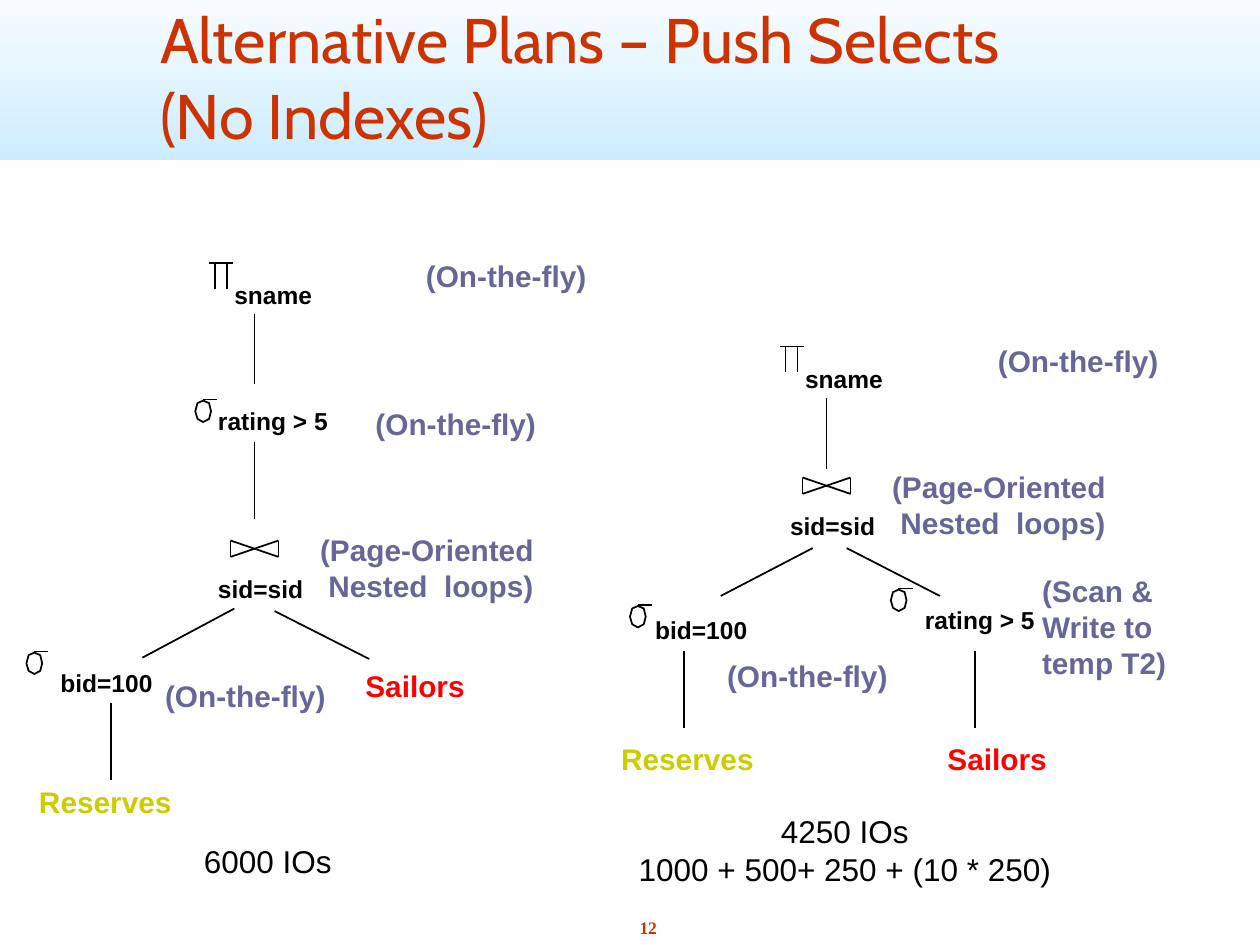
from lxml import etree
from pptx import Presentation
from pptx import util as u
from pptx.dml.color import RGBColor
from pptx.enum import shapes, text
from pptx.oxml.ns import qn

THEME = {
    "ink": "000000", "heading": "CC3300", "note": "666699",
    "reserves": "CCCC00", "sailors": "FF0000",
    "band_top": "FFFFFF", "band_bottom": "CCECFF",
    "title_size": 36, "cost_size": 18, "label_size": 17,
    "condition_size": 14, "number_size": 10,
    "body_font": "Arial", "title_font": "Cabin", "number_font": "Times New Roman",
}

deck = Presentation()
deck.slide_width, deck.slide_height = u.Inches(10), u.Inches(7.5)
page = deck.slides.add_slide(deck.slide_layouts[5])
cell = deck.slide_width / 100  # grid of 100 columns by 75 rows


def draw_line(group, x1, y1, x2, y2):
    line = group.shapes.add_connector(
        shapes.MSO_CONNECTOR.STRAIGHT, *[round(v * cell) for v in (x1, y1, x2, y2)])
    line.line.color.rgb = RGBColor.from_string(THEME["ink"])
    line.line.width = u.Pt(1)
    etree.SubElement(line.element.spPr, qn("a:effectLst"))


def write(box, place, lines, size, color, font="body_font", bold=True,
          align=text.PP_ALIGN.LEFT, anchor=text.MSO_ANCHOR.TOP, wrap=False):
    box.left, box.top, box.width, box.height = [round(v * cell) for v in place]
    frame = box.text_frame
    frame.word_wrap = wrap
    frame.auto_size = text.MSO_AUTO_SIZE.SHAPE_TO_FIT_TEXT
    frame.vertical_anchor = anchor
    frame.margin_left = frame.margin_right = round(0.5 * cell)
    frame.margin_top = frame.margin_bottom = round(0.5 * cell)
    for index, wording in enumerate(lines):
        para = frame.add_paragraph() if index else frame.paragraphs[0]
        para.alignment = align
        for part, piece in enumerate(wording.split("\n")):
            if part:
                para.add_line_break()
            span = para.add_run()
            span.text = piece
            span.font.size = u.Pt(THEME[size])
            span.font.name = THEME[font]
            span.font.bold = bold
            span.font.color.rgb = RGBColor.from_string(THEME[color])


# Header band
band = page.shapes.add_shape(shapes.MSO_SHAPE.RECTANGLE, 0, round(-1.7 * cell),
                             deck.slide_width, round(14.4 * cell))
band.shadow.inherit = False
band.line.fill.background()
band.fill.gradient()
band.fill.gradient_angle = 90
for stop, color in zip(band.fill.gradient_stops, ("band_bottom", "band_top")):
    stop.color.rgb = RGBColor.from_string(THEME[color])

# Title, in front of the band
title = page.shapes.title
page.shapes.element.append(title.element)
write(title, (12.2, -0.4, 84, 12.9), ["Alternative Plans – Push Selects \n(No Indexes)"],
      "title_size", "heading", "title_font", bold=False,
      anchor=text.MSO_ANCHOR.MIDDLE, wrap=True)

# Query plans: symbols by top left corner, edges by end points, labels by corner
FLY = ["(On-the-fly)"]
LOOPS = ["(Page-Oriented", " Nested  loops)"]
plans = [
    {   # selections after the join
        "project": (16.6, 20.9), "join": (18.3, 42.9),
        "select": [(15.5, 31.7), (2.1, 51.7)],
        "edges": [(20.2, 24.9, 20.2, 30.5), (20.2, 35.1, 20.2, 41.2),
                  (18.6, 48.3, 11.3, 52.2), (21.8, 48.5, 29.3, 52.3),
                  (8.8, 55.8, 8.8, 61.9)],
        "conditions": [("sname", 18.1, 21.7, 7.3), ("rating > 5", 16.8, 31.7, 9.8),
                       ("sid=sid", 16.8, 45.1, 7.9), ("bid=100", 4.3, 52.5, 8.9)],
        "tables": [("Reserves", 2.6, 61.7, 11.6), ("Sailors", 28.5, 52.5, 9)],
        "notes": [(FLY, 33.3, 20, 13.8), (FLY, 29.3, 31.7, 13.8),
                  (LOOPS, 24.9, 41.7, 18), (FLY, 12.6, 53.3, 13.8)],
        "cost": (["6000 IOs"], (15.6, 66.3, 11.3, 4.1)),
    },
    {   # selections pushed below the join
        "project": (61.9, 27.5), "join": (63.7, 37.9),
        "select": [(50, 48), (70.7, 46.7)],
        "edges": [(65.6, 31.6, 65.6, 37.2), (64.5, 43.5, 57.2, 47.3),
                  (67.2, 43.5, 74.6, 47.3), (54.3, 51.7, 54.3, 57.8),
                  (77.4, 51.7, 77.4, 57.8)],
        "conditions": [("sname", 63.4, 28.4, 7.3), ("sid=sid", 62.2, 40.1, 7.9),
                       ("bid=100", 51.5, 48.3, 8.9), ("rating > 5", 72.9, 47.5, 9.8)],
        "tables": [("Reserves", 48.8, 58.3, 11.6), ("Sailors", 74.7, 58.3, 9)],
        "notes": [(FLY, 78.7, 26.7, 13.8), (LOOPS, 70.3, 36.7, 18),
                  (["(Scan &", "Write to", "temp T2)"], 82.2, 45, 10.9),
                  (FLY, 57.2, 51.7, 13.8)],
        "cost": (["4250 IOs", "1000 + 500+ 250 + (10 * 250)"], (50.1, 63.9, 33.9, 7.1)),
    },
]
PROJECT = [(0, 0, 1.9, 0), (0.45, 0, 0.45, 2.05), (1.4, 0, 1.4, 2.05)]
JOIN = [(0, 0, 0, 1.3), (3.8, 0, 3.8, 1.3), (0, 0, 3.8, 1.3), (0, 1.3, 3.8, 0)]
SELECT_BAR = (0.6, 0, 1.75, 0)
SELECT_LOOP = [(1.25, 0.95), (1.1, 0.3), (0.63, 0.1), (0.18, 0.3),
               (0, 0.95), (0.18, 1.55), (0.63, 1.8), (1.1, 1.55)]

for plan in plans:
    group = page.shapes.add_group_shape()

    # Operator symbols and tree edges
    symbols = [(plan["project"], PROJECT), (plan["join"], JOIN)]
    symbols += [(corner, [SELECT_BAR]) for corner in plan["select"]]
    for (x, y), strokes in symbols:
        for x1, y1, x2, y2 in strokes:
            draw_line(group, x + x1, y + y1, x + x2, y + y2)
    for edge in plan["edges"]:
        draw_line(group, *edge)
    for x, y in plan["select"]:
        # The builder keeps whole units only, so points are given at full resolution
        points = [(round((x + dx) * cell), round((y + dy) * cell))
                  for dx, dy in SELECT_LOOP]
        builder = group.shapes.build_freeform(*points[0])
        builder.add_line_segments(points[1:], close=True)
        loop = builder.convert_to_shape()
        loop.shadow.inherit = False
        loop.fill.background()
        loop.line.color.rgb = RGBColor.from_string(THEME["ink"])
        loop.line.width = u.Pt(1)

    # Labels
    labels = [([name], x, y, width, 3.1, "condition_size", "ink")
              for name, x, y, width in plan["conditions"]]
    labels += [([name], x, y, width, 3.7, "label_size", name.lower())
               for name, x, y, width in plan["tables"]]
    labels += [(lines, x, y, width, 1 + 2.75 * len(lines), "label_size", "note")
               for lines, x, y, width in plan["notes"]]
    for lines, x, y, width, height, size, color in labels:
        write(group.shapes.add_textbox(0, 0, 0, 0), (x, y, width, height),
              lines, size, color)

    # Cost of the plan
    lines, place = plan["cost"]
    write(page.shapes.add_textbox(0, 0, 0, 0), place, lines, "cost_size", "ink",
          bold=False, align=text.PP_ALIGN.CENTER, anchor=text.MSO_ANCHOR.MIDDLE)

# Slide number
number = page.shapes.add_textbox(0, 0, 0, 0)
write(number, (50.1, 72.3, 2.7, 2.7), ["12"], "number_size", "heading",
      "number_font", align=text.PP_ALIGN.CENTER)
number.text_frame.paragraphs[0].space_before = u.Pt(6)

deck.save("out.pptx")
